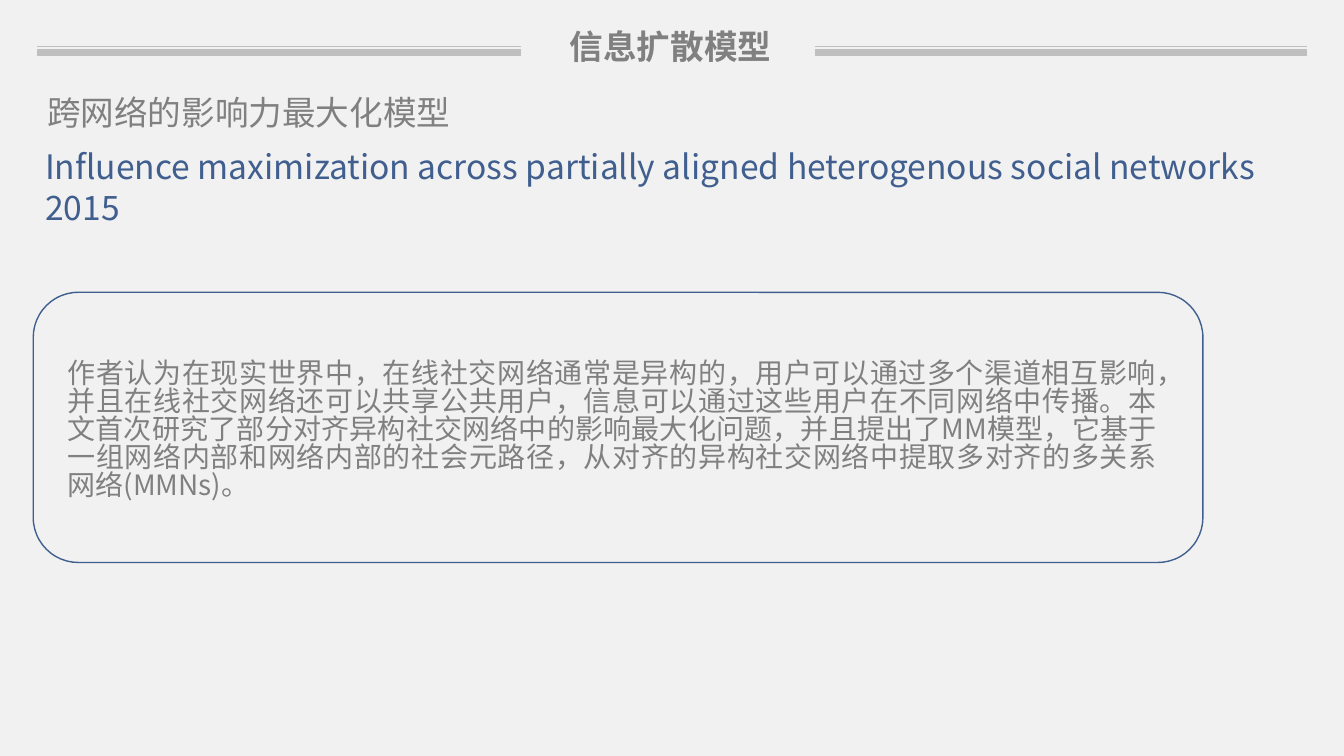
from dataclasses import dataclass

from lxml.etree import SubElement
from pptx import Presentation
from pptx.dml.color import RGBColor
from pptx.enum.shapes import MSO_CONNECTOR, MSO_SHAPE
from pptx.enum.text import MSO_ANCHOR, MSO_AUTO_SIZE, PP_ALIGN
from pptx.oxml.ns import qn
from pptx.util import Pt

EMU_PER_PX = 9144


@dataclass(frozen=True)
class Theme:
    """Colours, type sizes and font of the slide."""

    font: str = "Noto Sans CJK SC"
    background: RGBColor = RGBColor(0xF1, 0xF1, 0xF1)
    grey: RGBColor = RGBColor(0x80, 0x80, 0x80)
    rule: RGBColor = RGBColor(0xBF, 0xBF, 0xBF)
    blue: RGBColor = RGBColor(0x40, 0x5F, 0x8F)
    heading: int = 24
    body: int = 20
    leading: int = 20


THEME = Theme()


def px(*lengths):
    """Turn pixel lengths into a list of EMU."""
    return [length * EMU_PER_PX for length in lengths]


def write(tf, text, size, color, align=PP_ALIGN.LEFT, bold=False):
    """Fill a text frame with one formatted paragraph."""
    tf.word_wrap = True
    tf.auto_size = MSO_AUTO_SIZE.NONE
    tf.vertical_anchor = MSO_ANCHOR.TOP
    tf.text = text
    p = tf.paragraphs[0]
    p.alignment = align
    for r in p.runs:
        r.font.size = Pt(size)
        r.font.bold = bold
        r.font.color.rgb = color
        r.font.name = THEME.font
        SubElement(r.font._element, qn("a:ea"), typeface=THEME.font)
    return p


def add_title(s, box, text):
    """Place and fill the title placeholder."""
    title = s.shapes.title
    title.left, title.top, title.width, title.height = px(*box)
    write(title.text_frame, text, THEME.heading, THEME.grey, PP_ALIGN.CENTER, True)


def add_text(s, box, text, size, color, align=PP_ALIGN.LEFT):
    """Add a text box and return its paragraph."""
    tf = s.shapes.add_textbox(*px(*box)).text_frame
    return write(tf, text, size, color, align)


def add_rule(s, left, right, y, width):
    """Add a horizontal grey line without shadow."""
    line = s.shapes.add_connector(MSO_CONNECTOR.STRAIGHT, *px(left, y, right, y))
    line.line.color.rgb = THEME.rule
    line.line.width = Pt(width)
    SubElement(line._element.spPr, qn("a:effectLst"))


def add_frame(s, box):
    """Add an unfilled rounded frame."""
    sp = s.shapes.add_shape(MSO_SHAPE.ROUNDED_RECTANGLE, *px(*box))
    sp.shadow.inherit = False
    sp.fill.background()
    sp.line.color.rgb = THEME.blue
    sp.line.width = Pt(1)


def main():
    """Build and save the slide."""
    prs = Presentation()
    prs.slide_width, prs.slide_height = px(1334, 750)
    s = prs.slides.add_slide(prs.slide_layouts[5])
    s.background.fill.solid()
    s.background.fill.fore_color.rgb = THEME.background

    add_title(s, (522, 21, 287, 50), "信息扩散模型")
    for left, right in ((809, 1297), (37, 517)):
        for y, width in ((46, 0.75), (52, 4.5)):
            add_rule(s, left, right, y, width)

    add_text(s, (37, 86, 488, 50), "跨网络的影响力最大化模型", THEME.heading, THEME.grey)
    add_text(
        s,
        (35, 140, 1260, 91),
        "Influence maximization across partially aligned heterogenous social networks 2015",
        THEME.heading,
        THEME.blue,
    )

    add_frame(s, (33, 290, 1161, 268))
    p = add_text(
        s,
        (60, 354, 1095, 204),
        "作者认为在现实世界中，在线社交网络通常是异构的，用户可以通过多个渠道相互影响，"
        "并且在线社交网络还可以共享公共用户，信息可以通过这些用户在不同网络中传播。"
        "本文首次研究了部分对齐异构社交网络中的影响最大化问题，并且提出了MM模型，"
        "它基于一组网络内部和网络内部的社会元路径，"
        "从对齐的异构社交网络中提取多对齐的多关系网络(MMNs)。",
        THEME.body,
        THEME.grey,
        PP_ALIGN.JUSTIFY,
    )
    p.line_spacing = Pt(THEME.leading)
    tf = s.shapes[-1].text_frame
    tf.margin_left, tf.margin_top, tf.margin_right, tf.margin_bottom = px(7, 4, 7, 4)

    prs.save("out.pptx")


if __name__ == "__main__":
    main()
